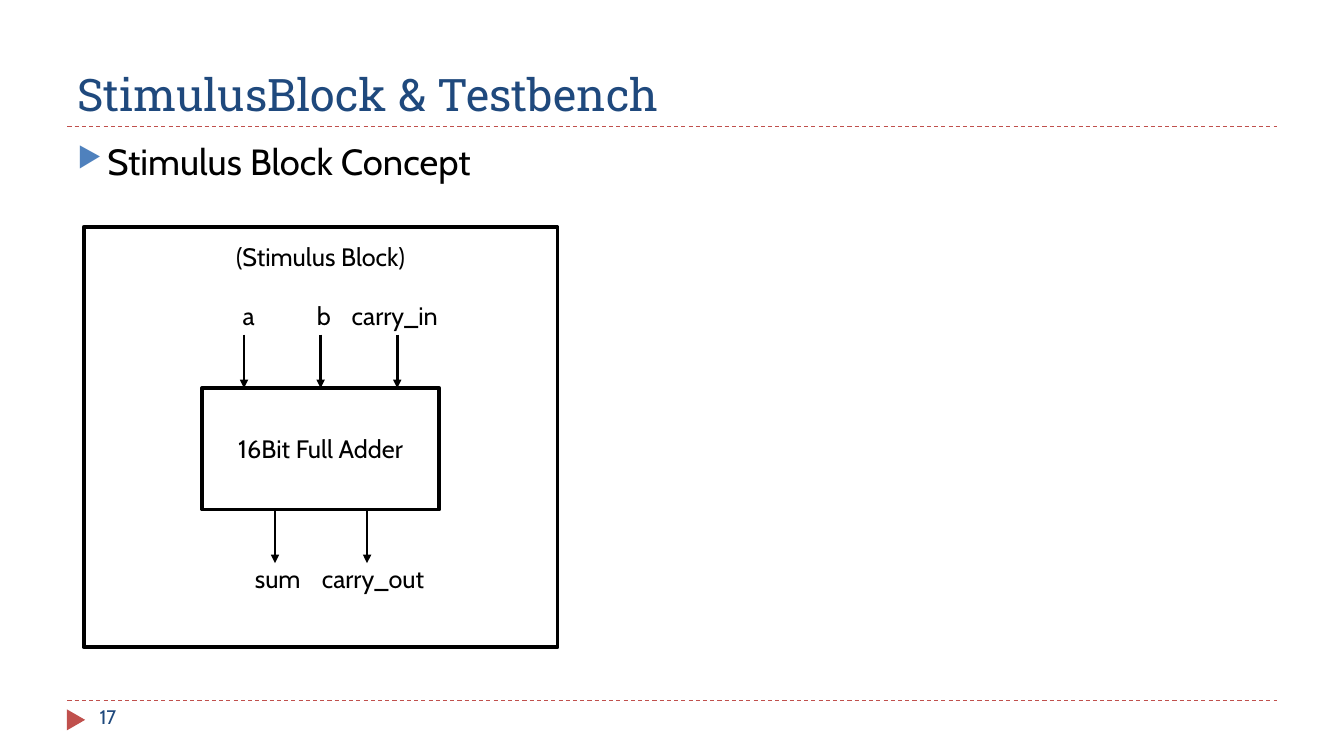
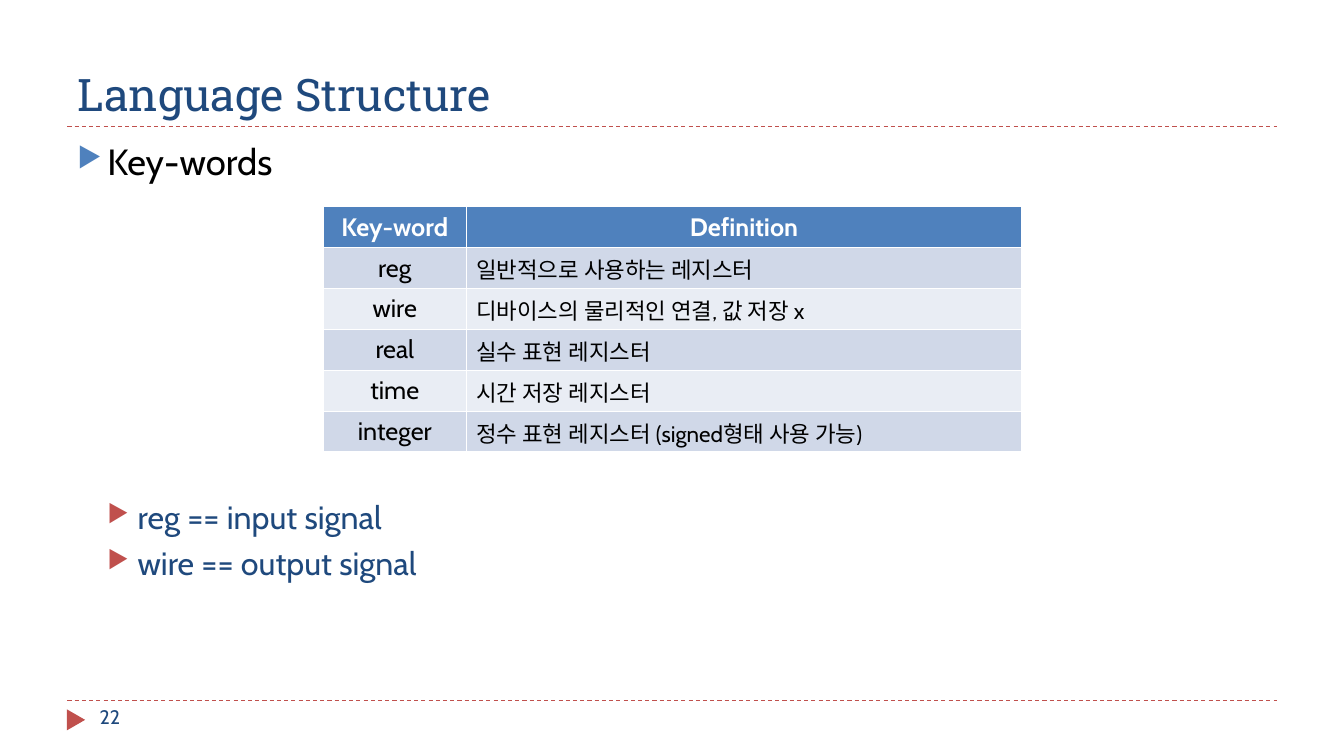
from lxml import etree
from pptx import Presentation
from pptx.dml.color import RGBColor
from pptx.enum import dml, shapes, text
from pptx.oxml import ns
from pptx.util import Cm, Pt

NAVY = RGBColor(0x1F, 0x49, 0x7D)
RED = RGBColor(0xC0, 0x50, 0x4D)
BLUE = RGBColor(0x4F, 0x81, 0xBD)
BLACK = RGBColor(0, 0, 0)
WHITE = RGBColor(255, 255, 255)
BANDS = [RGBColor(0xD0, 0xD8, 0xE8), RGBColor(0xE9, 0xED, 0xF4)]
HEAD, BODY = "Roboto Slab", "Cabin"

LEFT, WIDE = 1.7, 30.48
RULES = [3.18, 17.65]
MID = 8.08  # centre line of the block diagram

# Bullet levels: indent, size, space before, text colour, marker colour
MAIN = (0.76, 26, 6, BLACK, BLUE)
SUB = (1.52, 23, 5, NAVY, RED)

# Signals: label, arrow x, label centre, label width
INPUTS = [("a", 6.15, 6.27, 0.6), ("b", MID, 8.16, 0.6),
          ("carry_in", 10.01, 9.95, 2.3)]
OUTPUTS = [("sum", 6.93, 7.0, 1.3), ("carry_out", 9.25, 9.4, 2.7)]

WORDS = [
    ("Key-word", "Definition"),
    ("reg", "일반적으로 사용하는 레지스터"),
    ("wire", "디바이스의 물리적인 연결, 값 저장 x"),
    ("real", "실수 표현 레지스터"),
    ("time", "시간 저장 레지스터"),
    ("integer", "정수 표현 레지스터 (signed형태 사용 가능)"),
]
NOTES = ["reg == input signal", "wire == output signal"]


def style(para, size, color=BLACK, face=BODY, bold=False, center=False):
    font = para.font
    font.size, font.name, font.bold = Pt(size), face, bold
    font.color.rgb = color
    para.alignment = text.PP_ALIGN.CENTER if center else text.PP_ALIGN.LEFT


def add_text(slide, words, x, y, w, h, size, color=BLACK, **look):
    frame = slide.shapes.add_textbox(Cm(x), Cm(y), Cm(w), Cm(h)).text_frame
    frame.word_wrap = True
    frame.text = words
    style(frame.paragraphs[0], size, color, **look)
    return frame


def add_label(slide, words, mid, y, w):
    """Put a one-line label around the centre mid."""
    frame = add_text(slide, words, mid - w / 2, y, w, 0.95, 18, center=True)
    frame.word_wrap = False
    frame.margin_left = frame.margin_right = 0


def add_line(slide, x1, y1, x2, y2, color, width):
    line = slide.shapes.add_connector(
        shapes.MSO_CONNECTOR.STRAIGHT, Cm(x1), Cm(y1), Cm(x2), Cm(y2))
    line.line.color.rgb = color
    line.line.width = Pt(width)
    etree.SubElement(line.element.spPr, ns.qn("a:effectLst"))
    return line


def add_arrow(slide, x, top, end):
    line = add_line(slide, x, top, x, end, BLACK, 2)
    tail = etree.SubElement(line.line._get_or_add_ln(), ns.qn("a:tailEnd"))
    tail.set("type", "triangle")
    return line


def add_box(slide, x, y, w, h):
    box = slide.shapes.add_shape(
        shapes.MSO_SHAPE.RECTANGLE, Cm(x), Cm(y), Cm(w), Cm(h))
    box.shadow.inherit = False
    box.fill.background()
    box.line.color.rgb = BLACK
    box.line.width = Pt(2.75)
    return box


def add_list(slide, items, y, h, level):
    indent, size, gap, color, mark = level
    frame = add_text(slide, "\n".join(items), LEFT, y, WIDE, h, size)
    for para in frame.paragraphs:
        para.font.size = Pt(size)
        para.space_before = Pt(gap)
        props = para._p.get_or_add_pPr()
        props.set("marL", str(Cm(indent)))
        props.set("indent", str(-Cm(0.76)))
        tint = etree.Element(ns.qn("a:buClr"))
        etree.SubElement(tint, ns.qn("a:srgbClr")).set("val", str(mark))
        scale = etree.Element(ns.qn("a:buSzPct"))
        scale.set("val", "76000")
        char = etree.Element(ns.qn("a:buChar"))
        char.set("char", "▶")
        last = props.find(ns.qn("a:defRPr"))
        for node in (tint, scale, char):
            last.addprevious(node)
        style(para, size, color)


def add_page(deck, title, topic, number):
    """Add a slide with the shared rules, title, topic and page number."""
    slide = deck.slides.add_slide(deck.slide_layouts[6])
    for y in RULES:
        rule = add_line(slide, LEFT, y, LEFT + WIDE, y, RED, 0.75)
        rule.line.dash_style = dml.MSO_LINE.DASH
    mark = slide.shapes.add_shape(
        shapes.MSO_SHAPE.ISOSCELES_TRIANGLE,
        Cm(1.65), Cm(17.91), Cm(0.53), Cm(0.46))
    mark.rotation = 90
    mark.shadow.inherit = False
    mark.fill.solid()
    mark.fill.fore_color.rgb = RED
    mark.line.fill.background()
    head = add_text(slide, title, LEFT, 0.43, WIDE, 2.74, 32, NAVY, face=HEAD)
    head.vertical_anchor = text.MSO_ANCHOR.BOTTOM
    add_list(slide, [topic], 3.38, 1.3, MAIN)
    add_text(slide, str(number), 2.26, RULES[1], 7.34, 1.02, 14, NAVY)
    return slide


def add_diagram(slide):
    add_box(slide, MID - 5.97, 5.72, 11.94, 10.59)
    add_label(slide, "(Stimulus Block)", MID, 5.95, 4.4)
    top, high, reach = 9.78, 3.06, 1.35
    adder = add_box(slide, MID - 2.99, top, 5.98, high)
    adder.text_frame.text = "16Bit Full Adder"
    adder.text_frame.vertical_anchor = text.MSO_ANCHOR.MIDDLE
    style(adder.text_frame.paragraphs[0], 18, center=True)
    for name, x, mid, w in INPUTS:
        arrow = add_arrow(slide, x, top - reach, top)
        if x == MID:
            arrow.end_connect(adder, 0)
        add_label(slide, name, mid, 7.45, w)
    for name, x, mid, w in OUTPUTS:
        add_arrow(slide, x, top + high, top + high + reach)
        add_label(slide, name, mid, 14.07, w)


def add_words(slide):
    widths, high = (3.6, 14), 1.03
    grid = slide.shapes.add_table(
        len(WORDS), len(widths), Cm(8.15), Cm(5.21),
        Cm(sum(widths)), Cm(high * len(WORDS))).table
    for col, w in zip(grid.columns, widths):
        col.width = Cm(w)
    for r, row in enumerate(WORDS):
        grid.rows[r].height = Cm(high)
        for c, words in enumerate(row):
            cell = grid.cell(r, c)
            cell.text = words
            cell.fill.solid()
            cell.fill.fore_color.rgb = BANDS[(r - 1) % 2] if r else BLUE
            plain = r > 0 and c > 0
            style(cell.text_frame.paragraphs[0], 16 if plain else 18,
                  BLACK if r else WHITE, bold=r == 0, center=not plain)


def main():
    deck = Presentation()
    deck.slide_width, deck.slide_height = Cm(33.87), Cm(19.05)
    add_diagram(add_page(
        deck, "StimulusBlock & Testbench", "Stimulus Block Concept", 17))
    slide = add_page(deck, "Language Structure", "Key-words", 22)
    add_words(slide)
    add_list(slide, NOTES, 12.42, 2.6, SUB)
    deck.save("out.pptx")


if __name__ == "__main__":
    main()
